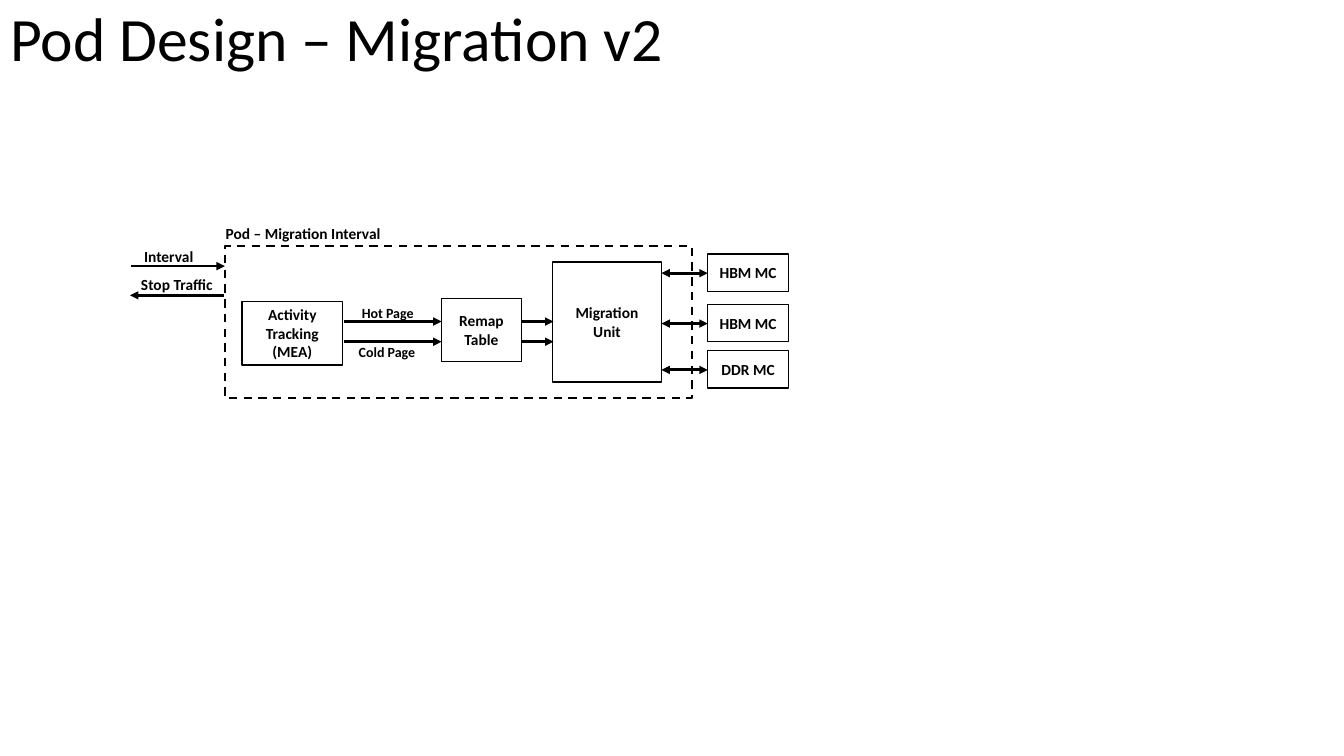
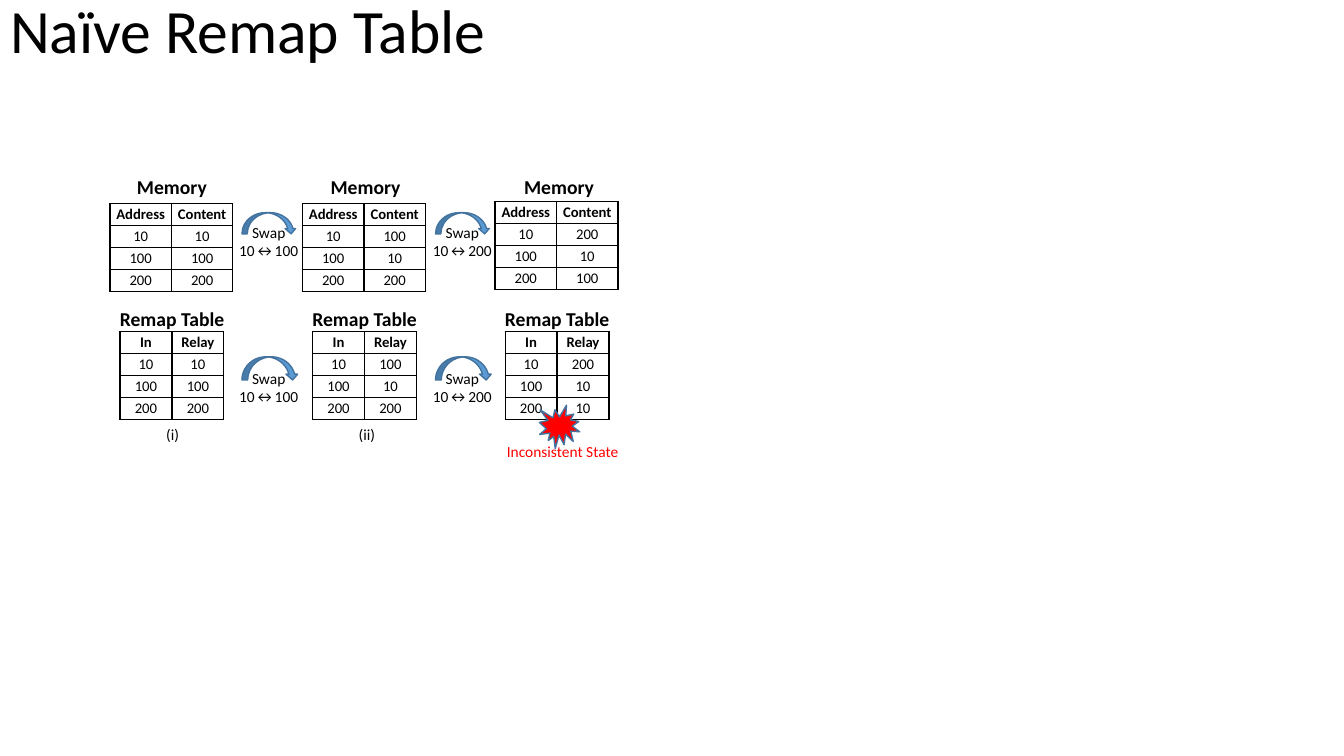
from lxml import etree
from pptx import Presentation
from pptx.dml.color import RGBColor
from pptx.enum import dml, shapes, text
from pptx.oxml.ns import qn
from pptx.util import Inches, Pt

BLACK = RGBColor(0, 0, 0)
RED = RGBColor(255, 0, 0)
BLUE = RGBColor(0x5B, 0x9B, 0xD5)
NAVY = RGBColor(0x43, 0x73, 0x9E)
FONT = "Calibri"
LEFT, MID = text.PP_ALIGN.LEFT, text.PP_ALIGN.CENTER
SHAPE = shapes.MSO_SHAPE
STEP = 1.91
HOP = 1.92


def write(frame, words, size, bold=False, color=BLACK, align=LEFT):
    """Fill a text frame and format its runs."""
    frame.text = words
    for para in frame.paragraphs:
        para.alignment = align
        for run in para.runs:
            font = run.font
            font.name, font.size, font.bold = FONT, Pt(size), bold
            font.color.rgb = color


def start(deck, title, top):
    """Add a title-only slide with its title in place."""
    slide = deck.slides.add_slide(deck.slide_layouts[5])
    head = slide.shapes.title
    head.left, head.top = Inches(0), Inches(top)
    head.width, head.height = Inches(11.5), Inches(1.45)
    frame = head.text_frame
    write(frame, title, 44)
    frame.auto_size = text.MSO_AUTO_SIZE.NONE
    frame.vertical_anchor = text.MSO_ANCHOR.MIDDLE
    frame.paragraphs[0].line_spacing = 0.9
    return slide


def label(slide, words, at, size=11, wrap=False, **style):
    """Add a text box."""
    box = slide.shapes.add_textbox(*map(Inches, at))
    frame = box.text_frame
    frame.word_wrap = wrap
    frame.auto_size = text.MSO_AUTO_SIZE.SHAPE_TO_FIT_TEXT
    write(frame, words, size, **style)


def draw(slide, kind, at, fill=None, line=BLACK, width=1):
    """Add a preset shape with a plain fill and outline."""
    shape = slide.shapes.add_shape(kind, *map(Inches, at))
    shape.shadow.inherit = False
    if fill is None:
        shape.fill.background()
    else:
        shape.fill.solid()
        shape.fill.fore_color.rgb = fill
    shape.line.color.rgb = line
    shape.line.width = Pt(width)
    return shape


def block(slide, words, at):
    """Add an outlined box with a bold centred name."""
    frame = draw(slide, SHAPE.RECTANGLE, at).text_frame
    frame.word_wrap = True
    frame.vertical_anchor = text.MSO_ANCHOR.MIDDLE
    frame.margin_left = frame.margin_right = Inches(0.05)
    write(frame, words, 11, bold=True, align=MID)


def arrow(slide, x, end, y, both=False):
    """Add a level arrow, with a head at one end or both."""
    line = slide.shapes.add_connector(
        shapes.MSO_CONNECTOR.STRAIGHT, *map(Inches, (x, y, end, y)))
    line.line.color.rgb = BLACK
    line.line.width = Pt(2)
    pen = line.line._get_or_add_ln()
    for tag in ("a:headEnd", "a:tailEnd") if both else ("a:tailEnd",):
        etree.SubElement(pen, qn(tag)).set("type", "triangle")
    etree.SubElement(line._element.spPr, qn("a:effectLst"))


def border(cell):
    """Give a cell a thin black line on all sides."""
    props = cell._tc.get_or_add_tcPr()
    for i, side in enumerate(("a:lnL", "a:lnR", "a:lnT", "a:lnB")):
        pen = etree.Element(qn(side), w=str(Pt(1)))
        fill = etree.SubElement(pen, qn("a:solidFill"))
        etree.SubElement(fill, qn("a:srgbClr")).set("val", str(BLACK))
        props.insert(i, pen)


def grid(slide, x, y, width, rows):
    """Add a two-column table with a bold first row."""
    table = slide.shapes.add_table(
        len(rows), 2, *map(Inches, (x, y, width, 0.87))).table
    table.first_row = table.horz_banding = False
    for r, row in enumerate(rows):
        table.rows[r].height = Inches(0.87 / len(rows))
        for c, words in enumerate(row):
            cell = table.cell(r, c)
            cell.margin_left = cell.margin_right = Inches(0.04)
            cell.margin_top = cell.margin_bottom = Inches(0.02)
            cell.fill.background()
            border(cell)
            write(cell.text_frame, words, 10.5, bold=r == 0, align=MID)


def swap(slide, x, y, size, top, words):
    """Add a curved arrow with the swapped pair below it."""
    draw(slide, SHAPE.CURVED_DOWN_ARROW, (x, y, *size), BLUE, NAVY)
    label(slide, "Swap\n" + words, (x - 0.13, top, 0.79, 0.47), align=MID)


def design(deck):
    """Build the pod diagram."""
    slide = start(deck, "Pod Design – Migration v2", -0.31)
    block(slide, "Activity Tracking\n(MEA)", (2.4, 2.99, 1, 0.63))
    block(slide, "Migration\nUnit", (5.48, 2.6, 1.08, 1.19))
    block(slide, "Remap\nTable", (4.38, 2.96, 0.79, 0.63))
    for name, top in (("HBM MC", 2.52), ("HBM MC", 3.02), ("DDR MC", 3.48)):
        block(slide, name, (7.02, top, 0.8, 0.37))
        arrow(slide, 6.56, 7.02, top + 0.19, both=True)
    pod = draw(slide, SHAPE.RECTANGLE, (2.23, 2.44, 4.63, 1.51), width=1.5)
    pod.line.dash_style = dml.MSO_LINE.DASH
    arrow(slide, 1.3, 2.23, 2.64)
    arrow(slide, 2.22, 1.29, 2.93)
    for y in (3.19, 3.39):
        arrow(slide, 3.41, 4.38, y)
        arrow(slide, 5.17, 5.49, y)
    for words, at, size in (
            ("Pod – Migration Interval", (2.14, 2.17, 2.76, 0.29), 11),
            ("Interval", (1.33, 2.4, 1.05, 0.29), 11),
            ("Stop Traffic", (1.3, 2.68, 1.05, 0.29), 11),
            ("Hot Page", (3.49, 2.97, 0.93, 0.27), 10),
            ("Cold Page", (3.46, 3.36, 0.86, 0.27), 10)):
        label(slide, words, at, size, wrap=True, bold=True)


def remap(deck):
    """Build the three states of memory and remap table."""
    slide = start(deck, "Naïve Remap Table", -0.39)
    keys = ("10", "100", "200")
    states = (
        (2.02, keys, keys),
        (2.02, ("100", "10", "200"), ("100", "10", "200")),
        (2, ("200", "10", "100"), ("200", "10", "10")))
    for i, (top, held, relay) in enumerate(states):
        x = 1.09 + i * STEP
        label(slide, "Memory", (1.26 + i * HOP, 1.69, 0.9, 0.34), 14, bold=True)
        grid(slide, x, top, 1.22, [("Address", "Content"), *zip(keys, held)])
        label(slide, "Remap Table", (x, 3, 1.24, 0.34), 14, bold=True)
        grid(slide, x + 0.1, 3.29, 1.03, [("In", "Relay"), *zip(keys, relay)])
    for i, pair in enumerate(("10↔100", "10↔200")):
        x = 2.4 + i * HOP
        swap(slide, x, 2.11, (0.54, 0.21), 2.16, pair)
        swap(slide, x, 3.54, (0.56, 0.23), 3.61, pair)
    label(slide, "(i)", (1.55, 4.17, 0.33, 0.29))
    label(slide, "(ii)", (3.46, 4.17, 0.37, 0.29))
    draw(slide, SHAPE.EXPLOSION1, (5.35, 4.02, 0.4, 0.43), RED, NAVY)
    label(slide, "Inconsistent State", (4.92, 4.34, 1.32, 0.29),
          color=RED, align=MID)


def main():
    """Build and save the deck."""
    deck = Presentation()
    deck.slide_width, deck.slide_height = Inches(13.33), Inches(7.5)
    design(deck)
    remap(deck)
    deck.save("out.pptx")


main()
